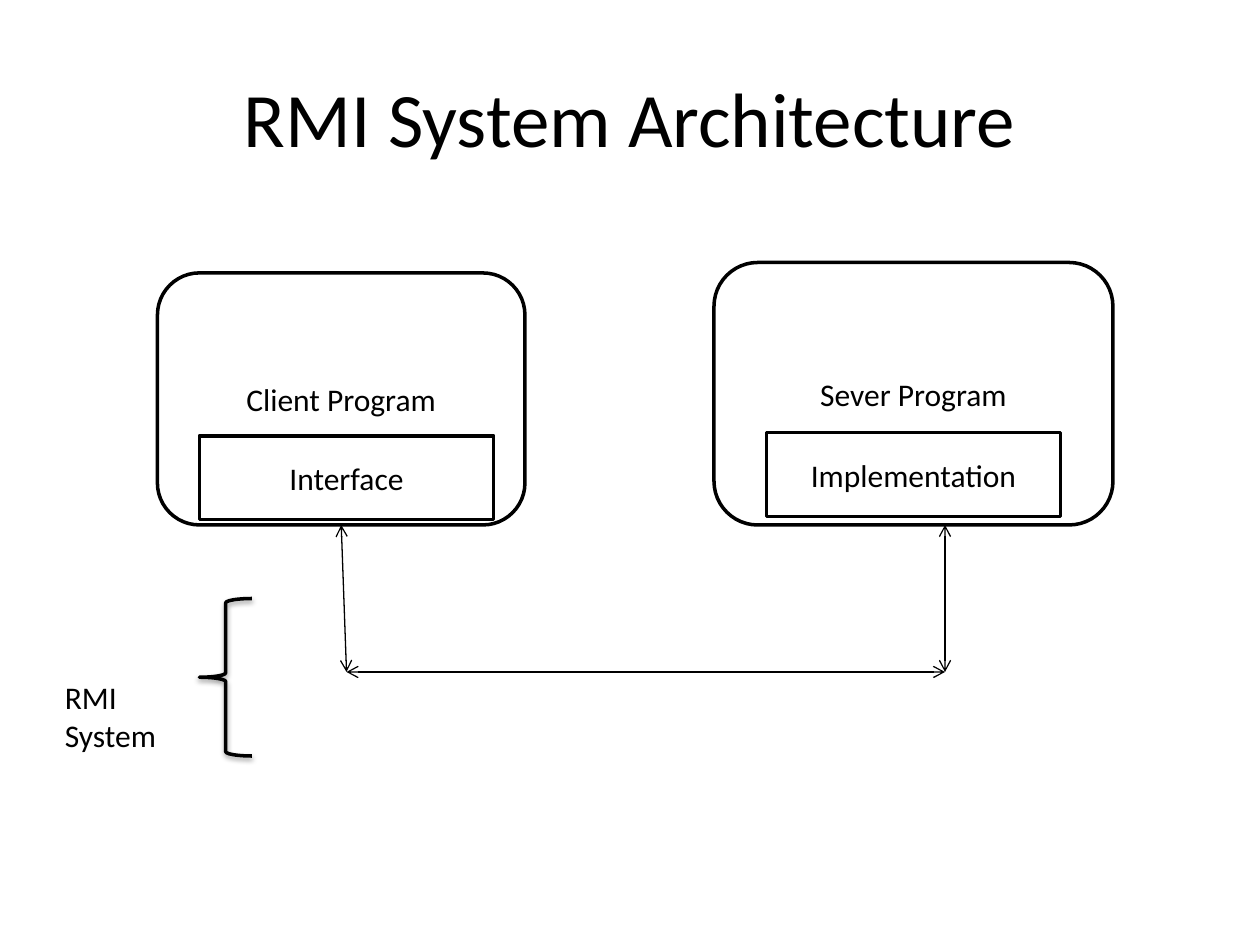
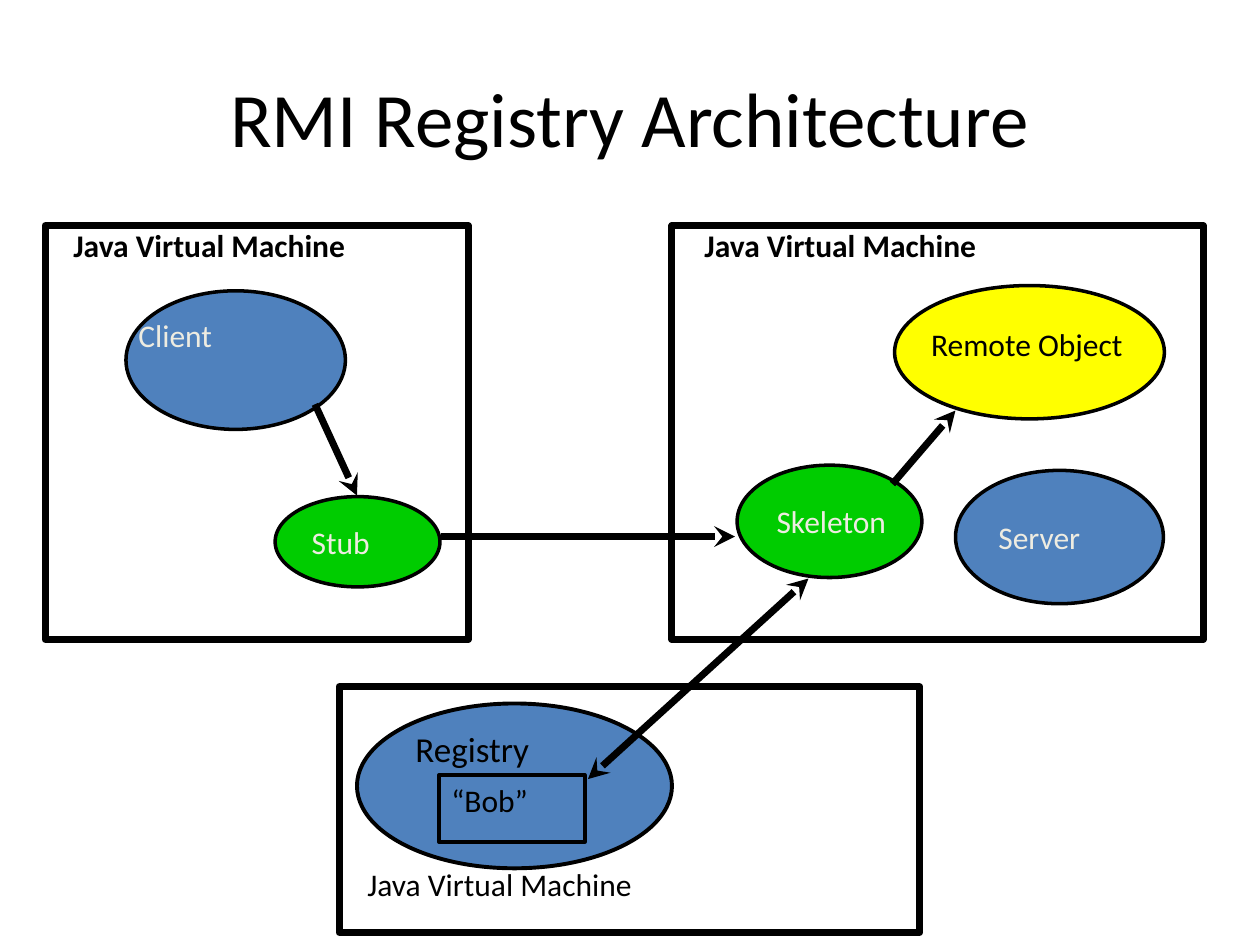
"""Two slides on the architecture of RMI and of its registry."""
from lxml import etree
from pptx import Presentation
from pptx.dml.color import RGBColor
from pptx.enum.shapes import MSO_CONNECTOR, MSO_SHAPE
from pptx.enum.text import MSO_ANCHOR, PP_ALIGN
from pptx.oxml.ns import qn
from pptx.util import Inches, Pt

RECT, ROUNDED = MSO_SHAPE.RECTANGLE, MSO_SHAPE.ROUNDED_RECTANGLE
ELLIPSE, BRACE = MSO_SHAPE.OVAL, MSO_SHAPE.LEFT_BRACE
STRAIGHT = MSO_CONNECTOR.STRAIGHT
TOP, MIDDLE = MSO_ANCHOR.TOP, MSO_ANCHOR.MIDDLE
LEFT, CENTER = PP_ALIGN.LEFT, PP_ALIGN.CENTER

BLACK = RGBColor(0x00, 0x00, 0x00)
WHITE = RGBColor(0xFF, 0xFF, 0xFF)
BLUE = RGBColor(0x4F, 0x81, 0xBD)
GREEN = RGBColor(0x00, 0xCC, 0x00)
YELLOW = RGBColor(0xFF, 0xFF, 0x00)
CREAM = RGBColor(0xEE, 0xEC, 0xE1)

FONT = "Calibri"
COLUMNS, ROWS = 120, 90
CELL = Inches(10) / COLUMNS

TITLE_AREA = (6, 3.6, 108, 15)
TITLE_STYLE = {"size": 44, "align": CENTER, "anchor": MIDDLE}
CENTERED = {"align": CENTER, "anchor": MIDDLE}
ON_ELLIPSE = {"color": CREAM, "anchor": MIDDLE, "wrap": False}


def cells(*counts):
    """Turn counts of grid cells into lengths."""
    return [round(count * CELL) for count in counts]


def set_all(target, values):
    """Set attributes of an object from a dict."""
    for name, value in values.items():
        setattr(target, name, value)


def write(shape, text, size=18, color=BLACK, bold=False, align=LEFT,
          anchor=TOP, wrap=True, top=0.05):
    """Put one formatted line of text into a shape."""
    frame = shape.text_frame
    set_all(frame, {"word_wrap": wrap, "vertical_anchor": anchor,
                    "margin_top": Inches(top)})
    para = frame.paragraphs[0]
    para.alignment = align
    span = para.add_run()
    span.text = text
    set_all(span.font, {"name": FONT, "size": Pt(size), "bold": bold})
    span.font.color.rgb = color


def add_label(page, area, text, **style):
    """Add a text box."""
    write(page.shapes.add_textbox(*cells(*area)), text, **style)


def add_box(page, kind, area, fill=None, width=2, text=None, **style):
    """Add an outlined preset shape, with a fill and text if given."""
    box = page.shapes.add_shape(kind, *cells(*area))
    box.shadow.inherit = False
    if fill is None:
        box.fill.background()
    else:
        box.fill.solid()
        box.fill.fore_color.rgb = fill
    box.line.color.rgb = BLACK
    box.line.width = Pt(width)
    if text:
        write(box, text, **style)
    return box


def add_shadow(box):
    """Give a shape a soft shadow straight below it."""
    effects = box._element.spPr.find(qn("a:effectLst"))
    shadow = etree.SubElement(
        effects, qn("a:outerShdw"), blurRad=str(Pt(3.1)), dist=str(Pt(1.6)),
        dir="5400000", rotWithShape="0")
    color = etree.SubElement(shadow, qn("a:srgbClr"), val=str(BLACK))
    etree.SubElement(color, qn("a:alpha"), val="38000")


def add_arrow(page, start, end, width, kind, both=False):
    """Add a line with an arrowhead at its end, or at both ends."""
    arrow = page.shapes.add_connector(STRAIGHT, *cells(*start, *end))
    arrow.line.color.rgb = BLACK
    arrow.line.width = Pt(width)
    outline = arrow.line._get_or_add_ln()
    for tag in ("a:headEnd", "a:tailEnd") if both else ("a:tailEnd",):
        etree.SubElement(outline, qn(tag), type=kind)
    etree.SubElement(arrow._element.spPr, qn("a:effectLst"))


def add_page(deck, title):
    """Add a blank slide with the shared title."""
    page = deck.slides.add_slide(deck.slide_layouts[6])
    add_label(page, TITLE_AREA, title, **TITLE_STYLE)
    return page


def build_system(deck):
    """Client and server programs joined by the RMI system."""
    page = add_page(deck, "RMI System Architecture")
    for kind, area, text in (
            (ROUNDED, (15, 26, 35, 24), "Client Program"),
            (ROUNDED, (68, 25, 38, 25), "Sever Program"),
            (RECT, (19, 41.5, 28, 8), "Interface"),
            (RECT, (73, 41.2, 28, 8), "Implementation")):
        add_box(page, kind, area, WHITE, text=text, **CENTERED)

    client_corner, server_corner = (33, 64), (90, 64)
    for start, end in (((32.5, 50), client_corner),
                       (client_corner, server_corner),
                       ((90, 50), server_corner)):
        add_arrow(page, start, end, 0.75, "arrow", both=True)

    add_shadow(add_box(page, BRACE, (19, 57, 5, 15)))
    add_label(page, (5, 64, 14, 8.5), "RMI System")


def build_registry(deck):
    """Three virtual machines with the objects that live in them."""
    page = add_page(deck, "RMI Registry Architecture")
    machine = "Java Virtual Machine"
    for area in ((32.3, 65.4, 55.3, 23.4), (4.3, 21.5, 40.3, 39.4),
                 (64, 21.5, 50.6, 39.4)):
        add_box(page, RECT, area, width=4)

    add_box(page, ELLIPSE, (34, 67, 30, 15.7), BLUE, 2.25, "Registry",
            size=20, wrap=False, top=0)
    add_box(page, ELLIPSE, (12, 27.7, 20.9, 13.2), BLUE)
    add_box(page, ELLIPSE, (85.2, 27.2, 25.7, 12.7), YELLOW)
    for area, fill, text in (
            ((26.2, 47.3, 15.7, 8.6), GREEN, "Stub"),
            ((70.2, 44.3, 17.6, 10.7), GREEN, "Skeleton"),
            ((91, 44.8, 19.8, 12.7), BLUE, "Server")):
        add_box(page, ELLIPSE, area, fill, text=text, **ON_ELLIPSE)
    add_box(page, RECT, (41.8, 73.8, 13.9, 6.4), text="“Bob”", wrap=False)

    add_label(page, (5.8, 20.9, 28.6, 4.8), machine, bold=True, wrap=False)
    add_label(page, (65.9, 20.9, 45, 4.8), machine, bold=True)
    add_label(page, (33.8, 81.8, 53.2, 6), machine)
    add_label(page, (12, 29.5, 20.3, 6), "Client", color=CREAM)
    add_label(page, (87.5, 30.4, 21, 4.8), "Remote Object")

    for start, end, both in (((30, 38.5), (34, 47.2), False),
                             ((85, 46.1), (91, 39.1), False),
                             ((77, 55.1), (56, 74.2), True),
                             ((42, 51.1), (70, 51.1), False)):
        add_arrow(page, start, end, 4, "stealth", both)


def main():
    """Build and save the deck."""
    deck = Presentation()
    deck.slide_width, deck.slide_height = cells(COLUMNS, ROWS)
    build_system(deck)
    build_registry(deck)
    deck.save("out.pptx")


main()
